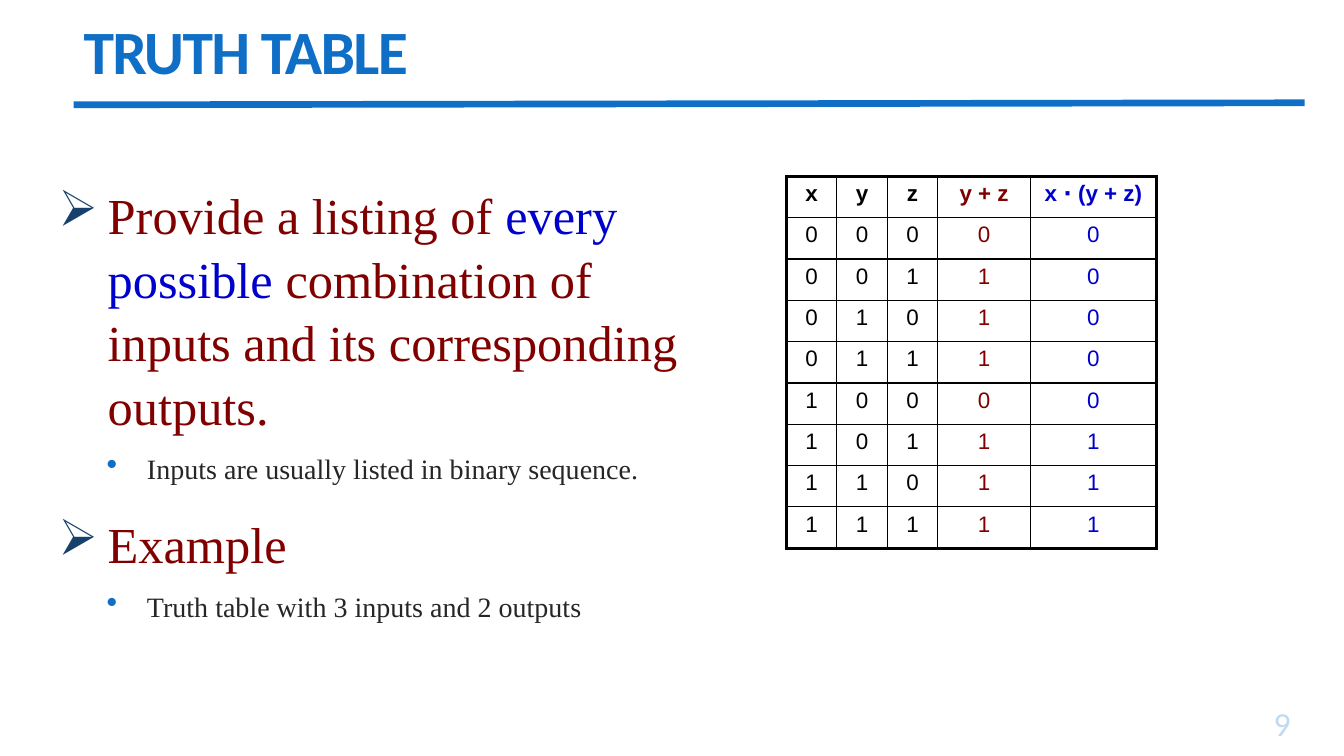
from dataclasses import dataclass
from itertools import product

from lxml.etree import SubElement
from pptx import Presentation
from pptx.dml.color import RGBColor
from pptx.enum.shapes import MSO_CONNECTOR
from pptx.enum.text import MSO_ANCHOR, PP_ALIGN
from pptx.oxml.ns import qn
from pptx.slide import Slide
from pptx.table import _Cell
from pptx.text.text import TextFrame, _Paragraph, _Run
from pptx.util import Inches, Pt


@dataclass(frozen=True)
class Theme:
    blue: str = "0F6FC6"
    navy: str = "17406D"
    maroon: str = "800000"
    royal: str = "0000CC"
    grey: str = "262626"
    black: str = "000000"
    heading_font: str = "Calibri"
    body_font: str = "Times New Roman"
    table_font: str = "Arial"
    title_size: float = 44
    point_size: float = 36
    detail_size: float = 20
    table_size: float = 16
    number_size: float = 24


THEME = Theme()


@dataclass(frozen=True)
class Level:
    size: float
    bullet: str
    bullet_color: str
    bullet_scale: int
    margin: float
    hanging: float


POINT = Level(THEME.point_size, "➢", THEME.navy, 100, 0.49, 0.49)
DETAIL = Level(THEME.detail_size, "•", THEME.blue, 112, 0.88, 0.4)


@dataclass(frozen=True)
class Item:
    level: Level
    phrases: tuple[tuple[str, str], ...]  # text and colour
    space_before: float


@dataclass(frozen=True)
class Column:
    heading: str
    width: float
    color: str


ITEMS = (
    Item(POINT, (("Provide a listing of ", THEME.maroon),
                 ("every possible", THEME.royal),
                 (" combination of inputs and its corresponding outputs.", THEME.maroon)), 0),
    Item(DETAIL, (("Inputs are usually listed in binary sequence.", THEME.grey),), 10),
    Item(POINT, (("Example", THEME.maroon),), 18),
    Item(DETAIL, (("Truth table with 3 inputs and 2 outputs", THEME.grey),), 10),
)
COLUMNS = (
    Column("x", 0.5, THEME.black),
    Column("y", 0.5, THEME.black),
    Column("z", 0.5, THEME.black),
    Column("y + z", 0.92, THEME.maroon),
    Column("x ⋅ (y + z)", 1.25, THEME.royal),
)
ROW_HEIGHT = 0.41


def style(run: _Run, font: str, size: float, color: str, bold: bool = False) -> None:
    run.font.name = font
    run.font.size = Pt(size)
    run.font.bold = bold
    run.font.color.rgb = RGBColor.from_string(color)


def add_text_frame(slide: Slide, left: float, top: float, width: float, height: float,
                   anchor: MSO_ANCHOR) -> TextFrame:
    frame = slide.shapes.add_textbox(
        Inches(left), Inches(top), Inches(width), Inches(height)).text_frame
    frame.word_wrap = True
    frame.vertical_anchor = anchor
    return frame


def add_bullet(paragraph: _Paragraph, level: Level) -> None:
    properties = paragraph._p.get_or_add_pPr()
    properties.set("marL", str(Inches(level.margin)))
    properties.set("indent", str(-Inches(level.hanging)))
    color = SubElement(properties, qn("a:buClr"))
    SubElement(color, qn("a:srgbClr"), val=level.bullet_color)
    SubElement(properties, qn("a:buSzPct"), val=str(level.bullet_scale * 1000))
    SubElement(properties, qn("a:buChar"), char=level.bullet)


def set_borders(cell: _Cell, widths: dict[str, float]) -> None:
    properties = cell._tc.get_or_add_tcPr()
    for side, width in widths.items():
        border = SubElement(properties, qn(f"a:ln{side}"), w=str(Pt(width)))
        fill = SubElement(border, qn("a:solidFill"))
        SubElement(fill, qn("a:srgbClr"), val=THEME.black)


def add_header(slide: Slide) -> None:
    rule = slide.shapes.add_connector(
        MSO_CONNECTOR.STRAIGHT, Inches(0.73), Inches(1.04), Inches(12.94), Inches(1.02))
    rule.line.color.rgb = RGBColor.from_string(THEME.blue)
    rule.line.width = Pt(4.75)
    SubElement(rule._element.spPr, qn("a:effectLst"))

    title = add_text_frame(slide, 0.73, 0.08, 11.78, 0.94, MSO_ANCHOR.MIDDLE)
    title.text = "TRUTH TABLE"
    heading = title.paragraphs[0]
    heading.line_spacing = 0.85
    style(heading.runs[0], THEME.heading_font, THEME.title_size, THEME.blue, bold=True)
    heading.runs[0].font._element.set("spc", "-120")


def add_page_number(slide: Slide) -> None:
    frame = add_text_frame(slide, 11.6, 7, 1.3, 0.42, MSO_ANCHOR.BOTTOM)
    frame.text = "9"
    number = frame.paragraphs[0]
    number.alignment = PP_ALIGN.RIGHT
    style(number.runs[0], THEME.heading_font, THEME.number_size, THEME.blue)
    color = number.runs[0].font._element.find(f".//{qn('a:srgbClr')}")
    SubElement(color, qn("a:alpha"), val="25000")


def add_outline(slide: Slide, items: tuple[Item, ...]) -> None:
    frame = add_text_frame(slide, 0.48, 1.75, 6.4, 4.95, MSO_ANCHOR.TOP)
    for index, item in enumerate(items):
        paragraph = frame.add_paragraph() if index else frame.paragraphs[0]
        add_bullet(paragraph, item.level)
        paragraph.line_spacing = 1.05
        paragraph.space_before = Pt(item.space_before)
        for text, color in item.phrases:
            run = paragraph.add_run()
            run.text = text
            style(run, THEME.body_font, item.level.size, color)


def add_truth_table(slide: Slide) -> None:
    rows = [[column.heading for column in COLUMNS]]
    for x, y, z in product((0, 1), repeat=3):
        rows.append([str(value) for value in (x, y, z, y | z, x & (y | z))])

    table = slide.shapes.add_table(
        len(rows), len(COLUMNS), Inches(7.8), Inches(1.75),
        Inches(sum(column.width for column in COLUMNS)),
        Inches(ROW_HEIGHT * len(rows))).table
    table.horz_banding = False
    for index, column in enumerate(COLUMNS):
        table.columns[index].width = Inches(column.width)

    last_row, last_column = len(rows) - 1, len(COLUMNS) - 1
    for r, values in enumerate(rows):
        table.rows[r].height = Inches(ROW_HEIGHT)
        for c, value in enumerate(values):
            cell = table.cell(r, c)
            # Thick outer frame, thin inner grid
            outer = {"L": c == 0, "R": c == last_column, "T": r == 0, "B": r == last_row}
            set_borders(cell, {side: 2.25 if edge else 1 for side, edge in outer.items()})
            cell.fill.background()
            cell.text_frame.text = value
            paragraph = cell.text_frame.paragraphs[0]
            paragraph.alignment = PP_ALIGN.CENTER
            style(paragraph.runs[0], THEME.table_font, THEME.table_size,
                  COLUMNS[c].color, bold=r == 0)


def main() -> None:
    presentation = Presentation()
    presentation.slide_width = Inches(13.33)
    presentation.slide_height = Inches(7.5)
    slide = presentation.slides.add_slide(presentation.slide_layouts[6])
    # Title and rule, page number, bullet list, table
    add_header(slide)
    add_page_number(slide)
    add_outline(slide, ITEMS)
    add_truth_table(slide)
    presentation.save("out.pptx")


if __name__ == "__main__":
    main()
